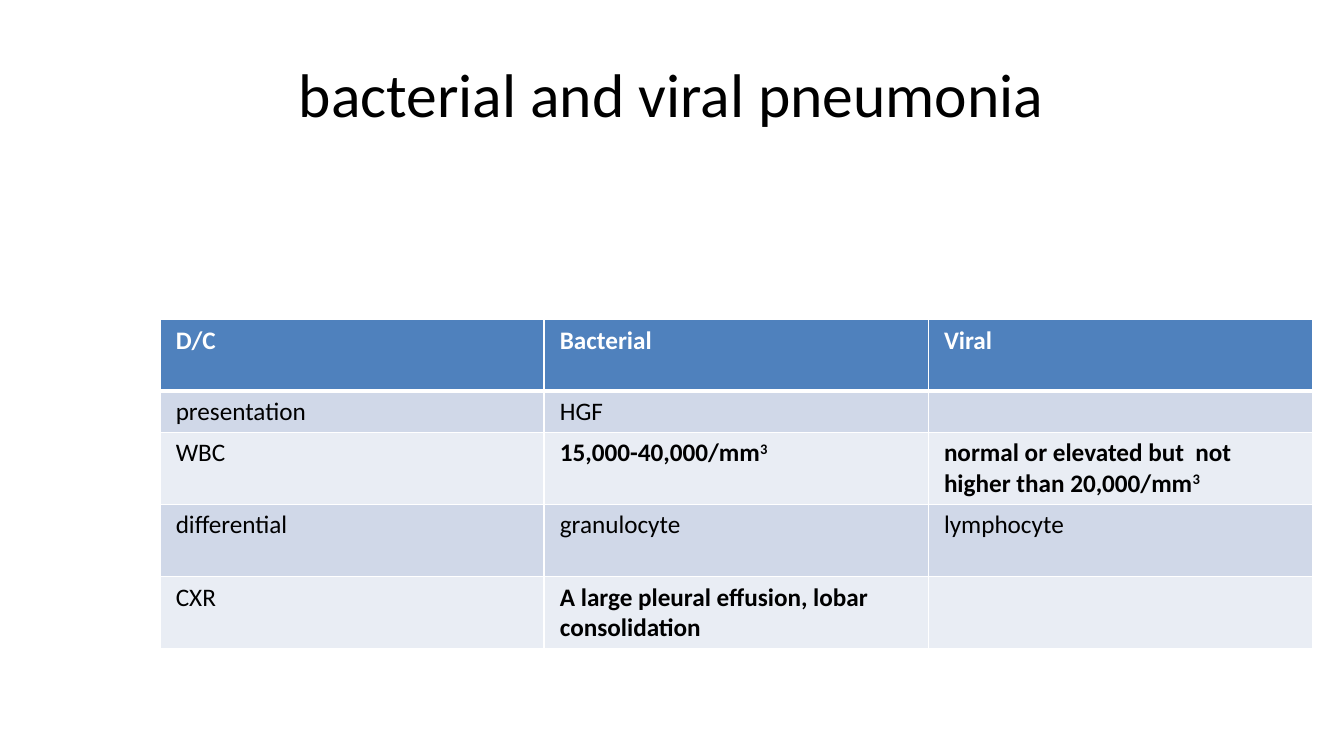
from lxml import etree
from pptx import Presentation
from pptx import util as u
from pptx.dml.color import RGBColor
from pptx.enum import text
from pptx.oxml import ns

# Content: a cell is a list of (words, bold, raised) runs
TITLE = "bacterial and viral pneumonia"
HEAD = [[("D/C", True, False)], [("Bacterial", True, False)], [("Viral", True, False)]]
BODY = [
    [[("presentation", False, False)], [("HGF", False, False)], []],
    [[("WBC", False, False)],
     [("15,000-40,000/mm", True, False), ("3", True, True)],
     [("normal or elevated but  not higher than 20,000/mm", True, False),
      ("3", True, True)]],
    [[("differential", False, False)], [("granulocyte", False, False)],
     [("lymphocyte", False, False)]],
    [[("CXR", False, False)],
     [("A large pleural effusion, lobar consolidation", True, False)], []],
]

THEME = {
    "font": "Calibri", "title": u.Pt(44), "cell": u.Pt(18),
    "ink": "000000", "light": "FFFFFF", "head": "4F81BD",
    "bands": ["D0D8E8", "E9EDF4"], "line": 1, "rule": 3,
}

# Measures
SIZE = u.Cm(33.87), u.Cm(19.05)
TITLE_BOX = u.Cm(1.69), u.Cm(0.76), u.Cm(30.48), u.Cm(3.18)
LEFT, TOP, COL = u.Cm(4.03), u.Cm(8.06), u.Cm(9.68)
ROWS = [u.Cm(h) for h in (1.8, 1.03, 1.82, 1.82, 1.82)]
PAD = {"margin_left": u.Cm(0.4), "margin_right": u.Cm(0.4),
       "margin_top": u.Cm(0.13), "margin_bottom": u.Cm(0.13)}


def apply(item, values):
    for name, value in values.items():
        setattr(item, name, value)


def style(font, size, color, bold=False):
    apply(font, {"name": THEME["font"], "size": size, "bold": bold})
    font.color.rgb = RGBColor.from_string(color)


def border(cell, widths):
    props = cell._tc.get_or_add_tcPr()
    for side, width in widths.items():
        line = etree.SubElement(props, ns.qn("a:ln" + side), w=str(u.Pt(width)))
        fill = etree.SubElement(line, ns.qn("a:solidFill"))
        etree.SubElement(fill, ns.qn("a:srgbClr"), val=THEME["light"])


def fill_cell(cell, runs, back, ink, top, bottom):
    apply(cell, PAD)
    border(cell, {"L": THEME["line"], "R": THEME["line"], "T": top, "B": bottom})
    cell.fill.solid()
    cell.fill.fore_color.rgb = RGBColor.from_string(back)
    para = cell.text_frame.paragraphs[0]
    para.font.size = THEME["cell"]
    for words, bold, raised in runs:
        run = para.add_run()
        run.text = words
        style(run.font, THEME["cell"], ink, bold)
        if raised:
            run._r.get_or_add_rPr().set("baseline", "30000")


def add_title(slide):
    title = slide.shapes.title
    apply(title, dict(zip(("left", "top", "width", "height"), TITLE_BOX)))
    title.text_frame.text = TITLE
    title.text_frame.vertical_anchor = text.MSO_ANCHOR.MIDDLE
    para = title.text_frame.paragraphs[0]
    para.alignment = text.PP_ALIGN.CENTER
    style(para.runs[0].font, THEME["title"], THEME["ink"])


def add_grid(slide):
    rows = [HEAD] + BODY
    grid = slide.shapes.add_table(len(rows), len(HEAD), LEFT, TOP,
                                  COL * len(HEAD), sum(ROWS)).table
    for col in grid.columns:
        col.width = COL
    for r, row in enumerate(rows):
        grid.rows[r].height = ROWS[r]
        back = THEME["bands"][(r - 1) % 2] if r else THEME["head"]
        ink = THEME["ink"] if r else THEME["light"]
        top = THEME["rule"] if r == 1 else THEME["line"]
        bottom = THEME["line"] if r else THEME["rule"]
        for c, runs in enumerate(row):
            fill_cell(grid.cell(r, c), runs, back, ink, top, bottom)


def main():
    deck = Presentation()
    deck.slide_width, deck.slide_height = SIZE
    slide = deck.slides.add_slide(deck.slide_layouts[5])
    add_title(slide)
    add_grid(slide)
    deck.save("out.pptx")


if __name__ == "__main__":
    main()
